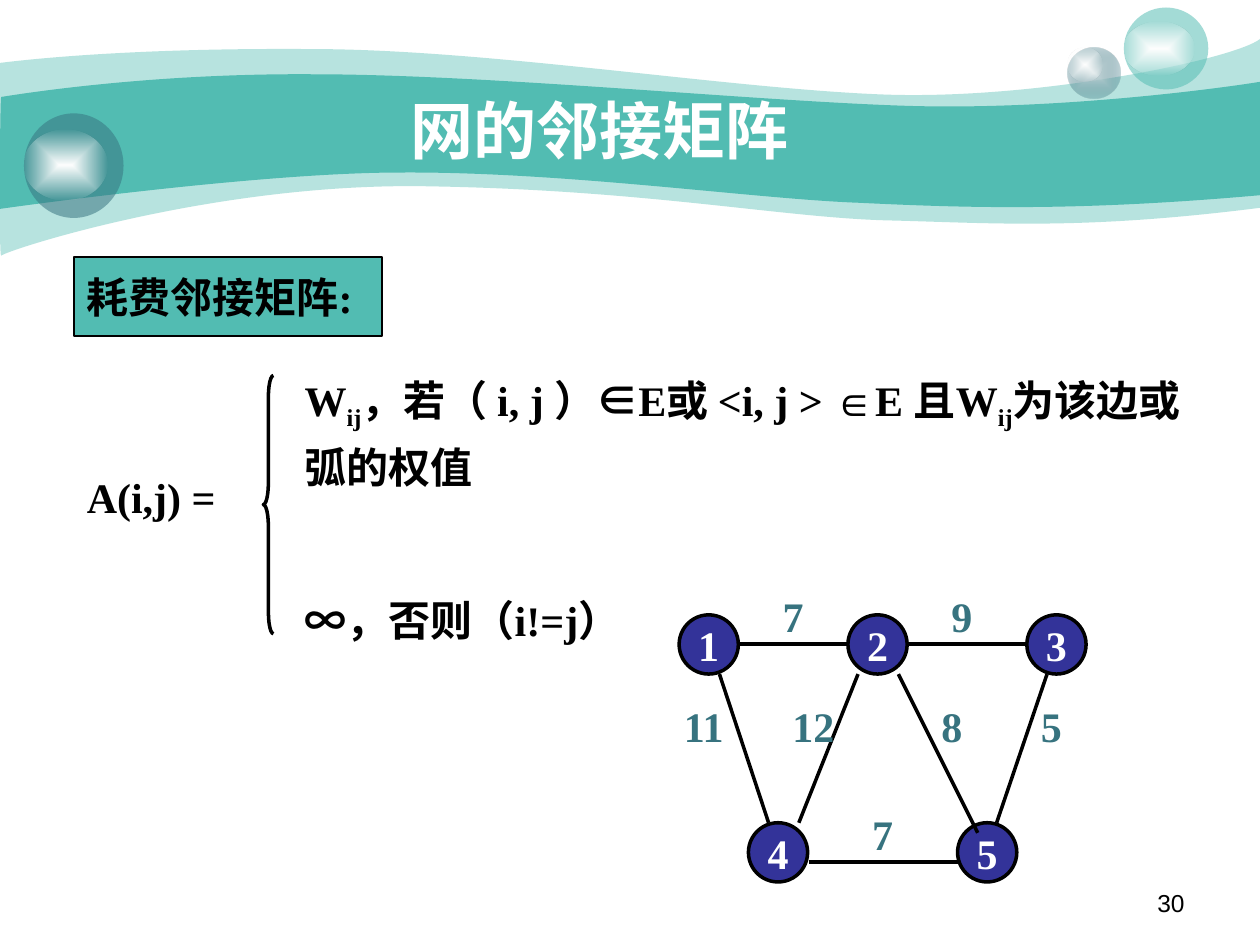
import pptx
import pptx.dml.color
import pptx.enum.shapes
import pptx.enum.text
import pptx.oxml
import pptx.oxml.ns
import pptx.util
from pptx.util import Inches

COLORS = {"teal": "52BCB2", "slate": "37737F", "mist": "CCDBDE", "navy": "333399",
          "black": "000000", "white": "FFFFFF"}
SHAPES = pptx.enum.shapes.MSO_SHAPE
ALIGN = pptx.enum.text.PP_ALIGN
MIDDLE = pptx.enum.text.MSO_ANCHOR.MIDDLE
SERIF = {"name": "Times New Roman", "size": pptx.util.Pt(24), "bold": True}
TITLE = {"name": "Arial", "size": pptx.util.Pt(36), "bold": True}
NUMBER = {"name": "Arial", "size": pptx.util.Pt(14), "bold": False}

OUTER_BAND = [
    [(0, 0.5)],
    [(0.24, 0.47), (1.07, 0.38), (2.47, 0.39)],
    [(3.86, 0.39), (5.75, 0.7), (6.99, 0.75)],
    [(8.22, 0.8), (9.8, 0.47), (10, 0.31)],
    [(10, 1.65)],
    [(8.58, 1.83), (7.87, 1.77), (7.05, 1.75)],
    [(6.22, 1.73), (5.15, 1.51), (3.43, 1.48)],
    [(1.72, 1.44), (0.04, 1.99), (0.01, 2.03)],
    [(-0.01, 2.08), (0, 0.75), (0, 0.5)],
]
INNER_BAND = [
    [(0.01, 0.77)],
    [(0.02, 0.77), (1.1, 0.58), (2.48, 0.59)],
    [(3.86, 0.59), (5.95, 0.8), (7.18, 0.84)],
    [(8.41, 0.88), (9.76, 0.69), (10, 0.65)],
    [(10, 1.55)],
    [(8.53, 1.68), (7.65, 1.65), (6.82, 1.61)],
    [(5.99, 1.58), (4.47, 1.36), (3.17, 1.37)],
    [(2.03, 1.37), (-0.02, 1.66), (-0.01, 1.66)],
    [(0, 1.66), (0, 0.77), (0.01, 0.77)],
]
NODES = {"1": (0.08, 0.24), "2": (1.42, 0.24), "3": (2.84, 0.24),
         "4": (0.63, 1.89), "5": (2.29, 1.89)}
EDGES = [
    ("11", (0, 0.87), (0.4, 0.71), (0.79, 1.89)),
    ("5", (2.76, 0.87), (3, 0.71), (2.6, 1.89)),
    ("7", (1.42, 1.73), (1.11, 2.2), (2.29, 2.2)),
    ("7", (0.71, 0), (0.56, 0.47), (1.42, 0.47)),
    ("9", (2.05, 0), (1.9, 0.47), (2.84, 0.47)),
    ("12", (0.87, 0.87), (1.5, 0.71), (1.03, 1.89)),
    ("8", (1.97, 0.87), (1.82, 0.71), (2.45, 1.97)),
]


def rgb(name):
    """Return the named colour."""
    return pptx.dml.color.RGBColor.from_string(COLORS[name])


def element(tag, inner=""):
    """Return a new drawing element with the given inner XML."""
    return pptx.oxml.parse_xml(f'<a:{tag} {pptx.oxml.ns.nsdecls("a")}>{inner}</a:{tag}>')


def color_xml(name, alpha=100):
    """Return the XML of a colour with its opacity in percent."""
    opacity = "" if alpha == 100 else f'<a:alpha val="{alpha * 1000}"/>'
    return f'<a:srgbClr val="{COLORS[name]}">{opacity}</a:srgbClr>'


def set_fill(shape, xml):
    """Give a shape the fill described by a tag and inner XML, without a line."""
    shape.shadow.inherit = False
    shape.line.fill.background()
    shape.fill.background()
    old_fill = shape._element.spPr.find(pptx.oxml.ns.qn("a:noFill"))
    old_fill.getparent().replace(old_fill, element(*xml))


def solid(name, alpha=100):
    """Describe a solid fill."""
    return "solidFill", color_xml(name, alpha)


def glow(center, edge, alpha):
    """Describe a gradient that runs from the centre outwards."""
    return "gradFill", (
        f'<a:gsLst><a:gs pos="0">{color_xml(center)}</a:gs>'
        f'<a:gs pos="100000">{color_xml(edge, alpha)}</a:gs></a:gsLst><a:path path="rect">'
        '<a:fillToRect l="50000" t="50000" r="50000" b="50000"/></a:path>')


def write(shape, runs, color="black", style=SERIF, align=ALIGN.LEFT, spacing=None,
          wrap=True, anchor=pptx.enum.text.MSO_ANCHOR.TOP):
    """Write (text, baseline) runs as one formatted paragraph."""
    frame = shape.text_frame
    frame_values = {"word_wrap": wrap, "vertical_anchor": anchor}
    paragraph = frame.paragraphs[0]
    paragraph_values = {"alignment": align, "line_spacing": spacing}
    for target, values in ((frame, frame_values), (paragraph, paragraph_values)):
        for key, value in values.items():
            setattr(target, key, value)
    for text, baseline in runs:
        run = paragraph.add_run()
        run.text = text
        for key, value in style.items():
            setattr(run.font, key, value)
        run.font.color.rgb = rgb(color)
        if baseline:
            run._r.get_or_add_rPr().set("baseline", str(baseline * 1000))


def add_text(slide, box, runs, **options):
    """Add a text box at the given box."""
    write(slide.shapes.add_textbox(*map(Inches, box)), runs, **options)


def add_outlined(slide, kind, box, fill, width):
    """Add a filled preset shape with a black outline."""
    shape = slide.shapes.add_shape(kind, *map(Inches, box))
    shape.shadow.inherit = False
    shape.fill.solid()
    shape.fill.fore_color.rgb = rgb(fill)
    shape.line.color.rgb = rgb("black")
    shape.line.width = pptx.util.Pt(width)
    return shape


def add_band(slide, segments, alpha):
    """Add a wavy band whose three-point segments are cubic curves."""
    points = [tuple(map(Inches, point)) for segment in segments for point in segment]
    builder = slide.shapes.build_freeform(*points[0])
    builder.add_line_segments(points[1:], close=True)
    band = builder.convert_to_shape()
    lines = band._element.iter(pptx.oxml.ns.qn("a:lnTo"))
    remaining = iter(list(lines))
    for segment in segments[1:]:
        group = [next(remaining) for _ in segment]
        if len(group) == 3:
            curve = element("cubicBezTo")
            group[0].addprevious(curve)
            for line in group:
                curve.append(line[0])
                line.getparent().remove(line)
    set_fill(band, solid("teal", alpha))


def add_bubble(slide, box, fill, shine):
    """Add a bubble with a shine of (top offset, width, height)."""
    left, top, _, _ = box
    offset, width, height = shine
    shine_box = (left, top + offset, width, height)
    for place, xml in ((box, fill), (shine_box, glow("white", "white", 0))):
        set_fill(slide.shapes.add_shape(SHAPES.OVAL, *map(Inches, place)), xml)


def add_header(slide, box):
    """Draw the banner and put the title in the given box above it."""
    add_band(slide, OUTER_BAND, 41)
    add_band(slide, INNER_BAND, 100)
    add_bubble(slide, (8.47, 0.38, 0.42, 0.4), glow("mist", "slate", 31), (0, 0.28, 0.27))
    add_bubble(slide, (8.92, 0.06, 0.67, 0.65), solid("teal", 53), (0.11, 0.56, 0.43))
    add_bubble(slide, (0.19, 0.9, 0.79, 0.83), solid("slate", 53), (0.13, 0.66, 0.56))
    title = slide.shapes.title
    title.left, title.top, title.width, title.height = map(Inches, box)
    write(title, [("网的邻接矩阵", 0)], color="white", style=TITLE,
          align=ALIGN.CENTER, anchor=MIDDLE)
    title._element.getparent().append(title._element)


def add_definition(slide, box):
    """Place the heading and the bracketed definition in the given box."""
    left, top, width, _ = box
    heading = add_outlined(slide, SHAPES.RECTANGLE, (left, top, 2.44, 0.63), "teal", 1)
    write(heading, [("耗费邻接矩阵:", 0)], wrap=False, anchor=MIDDLE)
    add_text(slide, (left, top + 1.57, 1.42, 0.58), [("A(i,j) =", 0)], spacing=1.2)
    brace = add_outlined(slide, SHAPES.LEFT_BRACE, (left + 1.5, top + 0.94, 0.08, 2.05), "white", 2)
    brace.fill.background()
    brace.adjustments[0] = 2.1
    cases = [
        (0.79, 1.13, [("W", 0), ("ij", -25), ("，若（ i, j ）∈E或 <i, j > ∈E 且W", 0),
                      ("ij", -25), ("为该边或弧的权值", 0)]),
        (2.55, 0.58, [("∞，否则（i!=j）", 0)]),
    ]
    for offset, height, runs in cases:
        case_width = width - 1.73 if height > 1 else 6.69
        add_text(slide, (left + 1.73, top + offset, case_width, height), runs, spacing=1.2)


def add_graph(slide, box):
    """Draw the weighted graph from the top left corner of the given box."""
    left, top, _, _ = box
    for label, (x, y) in NODES.items():
        node = add_outlined(slide, SHAPES.OVAL, (left + x, top + y, 0.47, 0.47), "navy", 2)
        write(node, [(label, 0)], color="white", align=ALIGN.CENTER, wrap=False, anchor=MIDDLE)
    for weight, (x, y), start, end in EDGES:
        ends = [Inches(origin + value) for point in (start, end)
                for origin, value in zip((left, top), point)]
        edge = slide.shapes.add_connector(pptx.enum.shapes.MSO_CONNECTOR.STRAIGHT, *ends)
        edge.line.color.rgb = rgb("black")
        edge.line.width = pptx.util.Pt(2)
        edge._element.spPr.append(element("effectLst"))
        add_text(slide, (left + x, top + y, 0.55, 0.5), [(weight, 0)],
                 color="slate", align=ALIGN.CENTER)


def main():
    """Build and save the presentation."""
    presentation = pptx.Presentation()
    presentation.slide_width, presentation.slide_height = Inches(10), Inches(7.5)
    slide = presentation.slides.add_slide(presentation.slide_layouts[5])
    add_header(slide, (1.17, 0.75, 7.17, 0.55))
    add_definition(slide, (0.59, 2.04, 9.05, 3.13))
    add_graph(slide, (5.31, 4.64, 3.31, 2.36))
    add_text(slide, (7.17, 7, 2.33, 0.35), [("30", 0)], style=NUMBER, align=ALIGN.RIGHT)
    presentation.save("out.pptx")


if __name__ == "__main__":
    main()
